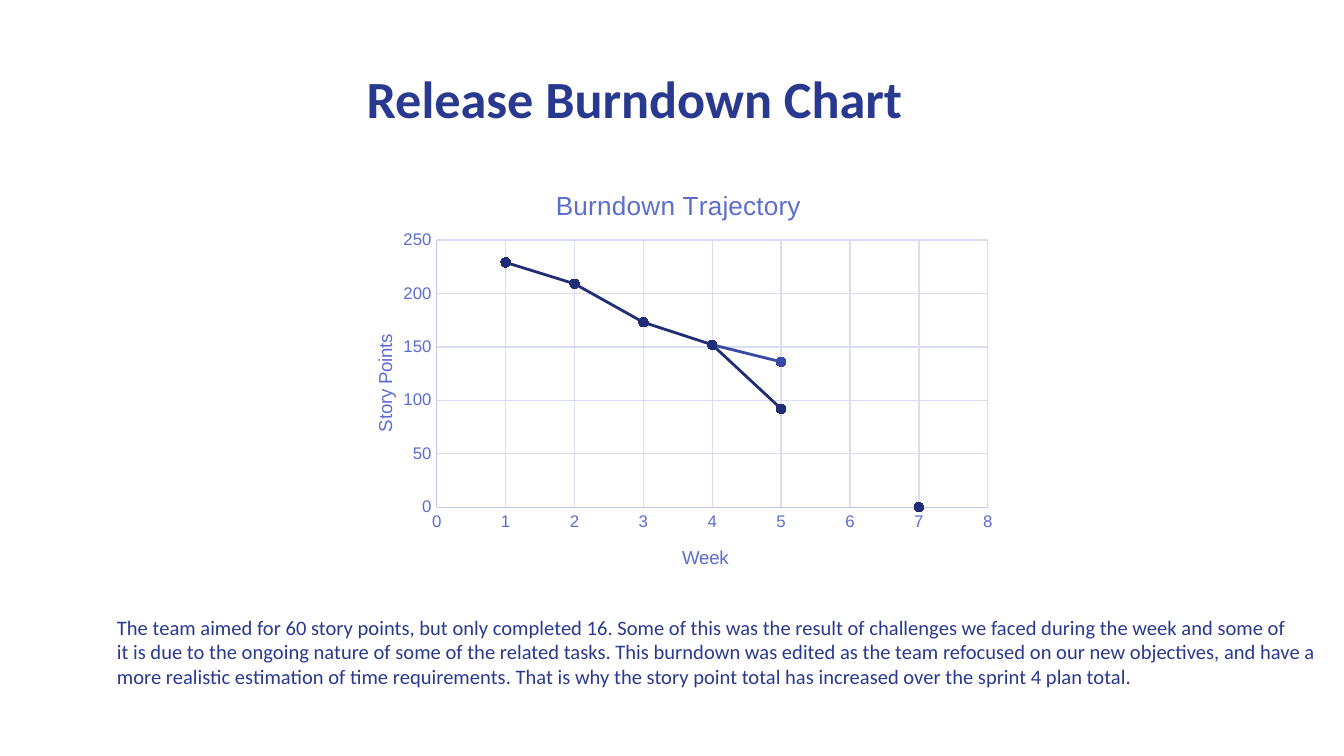
from lxml import etree
from pptx import Presentation
from pptx import util as u
from pptx.chart.data import XyChartData
from pptx.dml.color import RGBColor
from pptx.enum import chart as charts, text
from pptx.oxml.ns import qn

COLORS = {"ink": "2A3990", "label": "5C6DCF", "axis": "C0C7ED", "grid": "D9DDF4",
          "actual": "212D74", "plan": "3949AB"}
SERIES = [
    ("Series 1", "actual", [(1, 229), (2, 209), (3, 173), (4, 152), (5, 92), (6, None), (7, 0)]),
    ("Series 2", "plan", [(4, 152), (5, 136)]),
]
SUMMARY = [
    "The team aimed for 60 story points, but only completed 16. Some of this was the result of "
    "challenges we faced during the week and some of",
    "it is due to the ongoing nature of some of the related tasks. This burndown was edited as "
    "the team refocused on our new objectives, and have a ",
    "more realistic estimation of time requirements. That is why the story point total has "
    "increased over the sprint 4 plan total. ",
]


def color(name):
    return RGBColor.from_string(COLORS[name])


def style_font(font, face, size, name, bold=False):
    font.name, font.size, font.bold = face, u.Pt(size), bold
    font.color.rgb = color(name)


def style_line(line, name, width):
    line.color.rgb = color(name)
    line.width = u.Pt(width)


def add_text(page, area, lines, size, anchor, bold=False, wrap=True):
    frame = page.shapes.add_textbox(*area).text_frame
    frame.word_wrap = wrap
    frame.vertical_anchor = anchor
    for index, line in enumerate(lines):
        para = frame.add_paragraph() if index else frame.paragraphs[0]
        span = para.add_run()
        span.text = line
        style_font(span.font, "Calibri", size, "ink", bold)


def set_layout(parent, position, values, inner=False):
    for old in parent.findall(qn("c:layout")):
        parent.remove(old)
    layout = etree.Element(qn("c:layout"))
    manual = etree.SubElement(layout, qn("c:manualLayout"))
    settings = [("layoutTarget", "inner")] if inner else []
    settings += [("xMode", "edge"), ("yMode", "edge")]
    settings += list(zip("xywh", values))
    for tag, value in settings:
        etree.SubElement(manual, qn("c:" + tag)).set("val", str(value))
    parent.insert(position, layout)


def add_title(owner, label, size, place):
    title = owner.chart_title if hasattr(owner, "chart_title") else owner.axis_title
    span = title.text_frame.paragraphs[0].add_run()
    span.text = label
    style_font(span.font, "Arial", size, "label")
    set_layout(title._element, 1, place)


def style_axis(axis, top, step, label, place):
    axis.minimum_scale, axis.maximum_scale, axis.major_unit = 0, top, step
    axis.major_tick_mark = axis.minor_tick_mark = charts.XL_TICK_MARK.NONE
    axis.has_major_gridlines = True
    style_line(axis.major_gridlines.format.line, "grid", 0.75)
    style_line(axis.format.line, "axis", 0.75)
    style_font(axis.tick_labels.font, "Arial", 9, "label")
    add_title(axis, label, 10, place)


def drop_gaps(series, points):
    values = series._element.find(qn("c:yVal"))
    for point in list(values.iter(qn("c:pt"))):
        if points[int(point.get("idx"))][1] is None:
            point.getparent().remove(point)


def add_burndown(page, area):
    data = XyChartData()
    for name, _, points in SERIES:
        line = data.add_series(name)
        for week, left in points:
            line.add_data_point(week, left)
    chart = page.shapes.add_chart(charts.XL_CHART_TYPE.XY_SCATTER_SMOOTH, *area, data).chart
    style_font(chart.font, "Arial", 10, "ink")
    chart.has_legend = False
    chart.has_title = True
    add_title(chart, "Burndown Trajectory", 14, (0.32, 0.05))
    style_axis(chart.category_axis, 8, 1, "Week", (0.51, 0.88))
    style_axis(chart.value_axis, 250, 50, "Story Points", (0.05, 0.39))
    plot = chart.plots[0]
    plot.vary_by_categories = False
    set_layout(plot._element.getparent(), 0, (0.15, 0.18, 0.82, 0.62), inner=True)
    for series, (_, name, points) in zip(plot.series, SERIES):
        series.smooth = True
        style_line(series.format.line, name, 1.5)
        marker = series.marker
        marker.style, marker.size = charts.XL_MARKER_STYLE.CIRCLE, 5
        marker.format.fill.solid()
        marker.format.fill.fore_color.rgb = color(name)
        marker.format.line.color.rgb = color(name)
        drop_gaps(series, points)


def box(*lengths):
    return [u.Cm(length) for length in lengths]


deck = Presentation()
deck.slide_width, deck.slide_height = box(25.4, 14.29)
page = deck.slides.add_slide(deck.slide_layouts[6])
add_text(page, box(6.68, 1.12, 13.72, 2.24), ["Release Burndown Chart"], 28,
         text.MSO_ANCHOR.TOP, bold=True)
add_burndown(page, box(6.35, 3.07, 12.7, 8.15))
add_text(page, box(1.96, 11.48, 23.44, 1.68), SUMMARY, 11, text.MSO_ANCHOR.MIDDLE, wrap=False)
deck.save("out.pptx")
